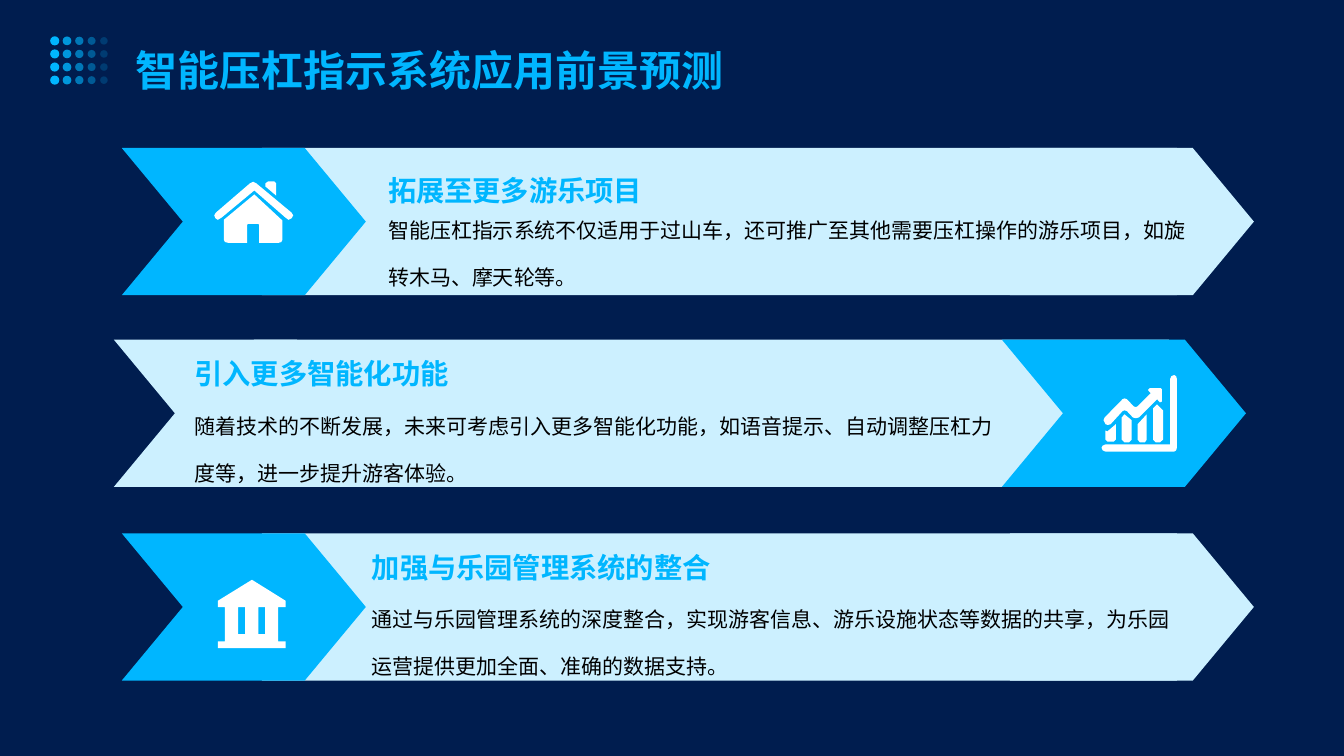
from lxml.etree import SubElement
from pptx import Presentation
from pptx.dml.color import RGBColor
from pptx.enum.shapes import MSO_SHAPE
from pptx.enum.text import MSO_ANCHOR, MSO_AUTO_SIZE, PP_ALIGN
from pptx.oxml.ns import qn
from pptx.util import Cm, Pt

COLORS = {"night": "001D4F", "sky": "00B6FF", "pale": "CCF0FF", "white": "FFFFFF", "black": "000000"}
FONT = "Noto Sans CJK SC"


def paint(shape, color):
    shape.shadow.inherit = False
    shape.fill.solid()
    shape.fill.fore_color.rgb = RGBColor.from_string(COLORS[color])
    shape.line.fill.background()


def write(frame, text, size, color, bold, spacing, anchor, insets):
    """Fill a text frame with one left-aligned paragraph; insets are left, top, right, bottom in cm."""
    frame.word_wrap = True
    frame.auto_size = MSO_AUTO_SIZE.NONE
    frame.vertical_anchor = anchor
    frame.margin_left, frame.margin_top, frame.margin_right, frame.margin_bottom = map(Cm, insets)
    frame.text = text
    paragraph = frame.paragraphs[0]
    paragraph.alignment = PP_ALIGN.LEFT
    paragraph.line_spacing = spacing
    paragraph.space_before = Pt(0)
    font = paragraph.font
    font.size, font.bold, font.name = Pt(size), bold, FONT
    font.color.rgb = RGBColor.from_string(COLORS[color])
    SubElement(paragraph._p.pPr.find(qn("a:defRPr")), qn("a:ea"), typeface=FONT)


prs = Presentation()
prs.slide_width, prs.slide_height = Cm(33.87), Cm(19.05)
slide = prs.slides.add_slide(prs.slide_layouts[5])
slide.background.fill.solid()
slide.background.fill.fore_color.rgb = RGBColor.from_string(COLORS["night"])
shapes = slide.shapes

# Title
title = shapes.title
title.left, title.top, title.width, title.height = Cm(3.05), Cm(0.25), Cm(27.79), Cm(2.54)
write(title.text_frame, "智能压杠指示系统应用前景预测", 30, "sky", True, 1.4,
      MSO_ANCHOR.TOP, (0.36, 0.36, 0.15, 0.36))

# Dots that shrink and fade to the right
for row in range(4):
    for column in range(5):
        size = 0.23 - 0.01 * column
        dot = shapes.add_shape(MSO_SHAPE.OVAL, Cm(1.38 + 0.31 * column - size / 2),
                               Cm(1.03 + 0.33 * row - size / 2), Cm(size), Cm(size))
        paint(dot, "sky")
        if column:
            fill_color = dot.fill._xPr.find(qn("a:solidFill"))[0]
            SubElement(fill_color, qn("a:alpha"), val=str(100000 - 20000 * column))

# Arrow bands: left, top, tail colour, head colour
BAND_HEIGHT, CHEVRON_WIDTH, POINT = 3.71, 6.15, 1.54
bands = [
    (3.07, 3.73, "sky", "pale"),
    (2.87, 8.56, "pale", "sky"),
    (3.07, 13.44, "sky", "pale"),
]
for left, top, tail_color, head_color in bands:
    bar = shapes.add_shape(MSO_SHAPE.RECTANGLE, Cm(left + 3.53), Cm(top), Cm(23.06), Cm(BAND_HEIGHT))
    paint(bar, "pale")
    for offset, color in [(0, tail_color), (22.38, head_color)]:
        chevron = shapes.add_shape(MSO_SHAPE.CHEVRON, Cm(left + offset), Cm(top),
                                   Cm(CHEVRON_WIDTH), Cm(BAND_HEIGHT))
        chevron.adjustments[0] = POINT / BAND_HEIGHT
        paint(chevron, color)

# Icon outlines in hundredths of a centimetre
house = [
    [(157, 5), (152, 0), (137, 0), (130, 5), (130, 13), (157, 36)],
    [(196, 79), (107, 5), (99, 1), (91, 5), (5, 79), (1, 86), (4, 93), (10, 97), (20, 91), (102, 23),
     (180, 91), (188, 97), (196, 93), (200, 86)],
    [(25, 97), (25, 147), (28, 153), (36, 155), (84, 155), (84, 109), (86, 107), (112, 107), (114, 109),
     (114, 155), (163, 155), (170, 153), (173, 147), (173, 99), (102, 33)],
]
growth_chart = [
    [(10, 140), (15, 142), (36, 124), (36, 163), (31, 168), (15, 168), (10, 163)],
    [(51, 107), (58, 99), (76, 114), (76, 163), (69, 170), (58, 170), (51, 163)],
    [(91, 124), (114, 99), (114, 163), (109, 170), (97, 170), (91, 163)],
    [(130, 84), (140, 74), (155, 89), (155, 163), (147, 170), (137, 170), (130, 163)],
    [(53, 91), (58, 89), (64, 91), (79, 107), (86, 109), (94, 107), (140, 61), (147, 69), (152, 67),
     (152, 36), (149, 33), (122, 33), (117, 38), (124, 46), (91, 79), (86, 81), (81, 79), (64, 61),
     (58, 59), (53, 61), (8, 107), (5, 114), (10, 124), (16, 126), (23, 124)],
    [(183, 0), (176, 3), (173, 10), (173, 175), (10, 175), (3, 178), (0, 183), (3, 190), (10, 193),
     (183, 193), (188, 190), (190, 183), (190, 10), (188, 3)],
]
bank = [[(0, 53), (86, 0), (171, 53), (171, 69), (0, 69)]]
for x1, y1, x2, y2 in [(0, 155, 171, 172), (18, 137, 152, 155),
                       (18, 69, 51, 137), (69, 69, 102, 137), (119, 69, 152, 137)]:
    bank.append([(x1, y1), (x2, y1), (x2, y2), (x1, y2)])

for outlines, left, top in [(house, 5.39, 4.57), (growth_chart, 27.76, 9.45), (bank, 5.49, 14.61)]:
    builder = shapes.build_freeform(*outlines[0][0], scale=Cm(0.01))
    for index, outline in enumerate(outlines):
        if index:
            builder.move_to(*outline[0])
        builder.add_line_segments(outline[1:], close=True)
    paint(builder.convert_to_shape(Cm(left), Cm(top)), "white")

# Heading and body of each band: left, heading top, heading anchor, body top
prospects = [
    (9.6, 3.89, MSO_ANCHOR.MIDDLE, 4.93, "拓展至更多游乐项目",
     "智能压杠指示系统不仅适用于过山车，还可推广至其他需要压杠操作的游乐项目，如旋转木马、摩天轮等。"),
    (4.72, 8.56, MSO_ANCHOR.BOTTOM, 9.86, "引入更多智能化功能",
     "随着技术的不断发展，未来可考虑引入更多智能化功能，如语音提示、自动调整压杠力度等，进一步提升游客体验。"),
    (9.19, 13.44, MSO_ANCHOR.BOTTOM, 14.73, "加强与乐园管理系统的整合",
     "通过与乐园管理系统的深度整合，实现游客信息、游乐设施状态等数据的共享，为乐园运营提供更加全面、准确的数据支持。"),
]
TEXT_INSETS = (0.18, 0.1, 0.18, 0.1)
for left, heading_top, heading_anchor, body_top, heading, body in prospects:
    heading_box = shapes.add_textbox(Cm(left), Cm(heading_top), Cm(20.5), Cm(1.37))
    write(heading_box.text_frame, heading, 20.2, "sky", True, 1.5, heading_anchor, TEXT_INSETS)
    body_box = shapes.add_textbox(Cm(left), Cm(body_top), Cm(20.5), Cm(2.39))
    write(body_box.text_frame, body, 15, "black", False, 1.86, MSO_ANCHOR.MIDDLE, TEXT_INSETS)

prs.save("out.pptx")
